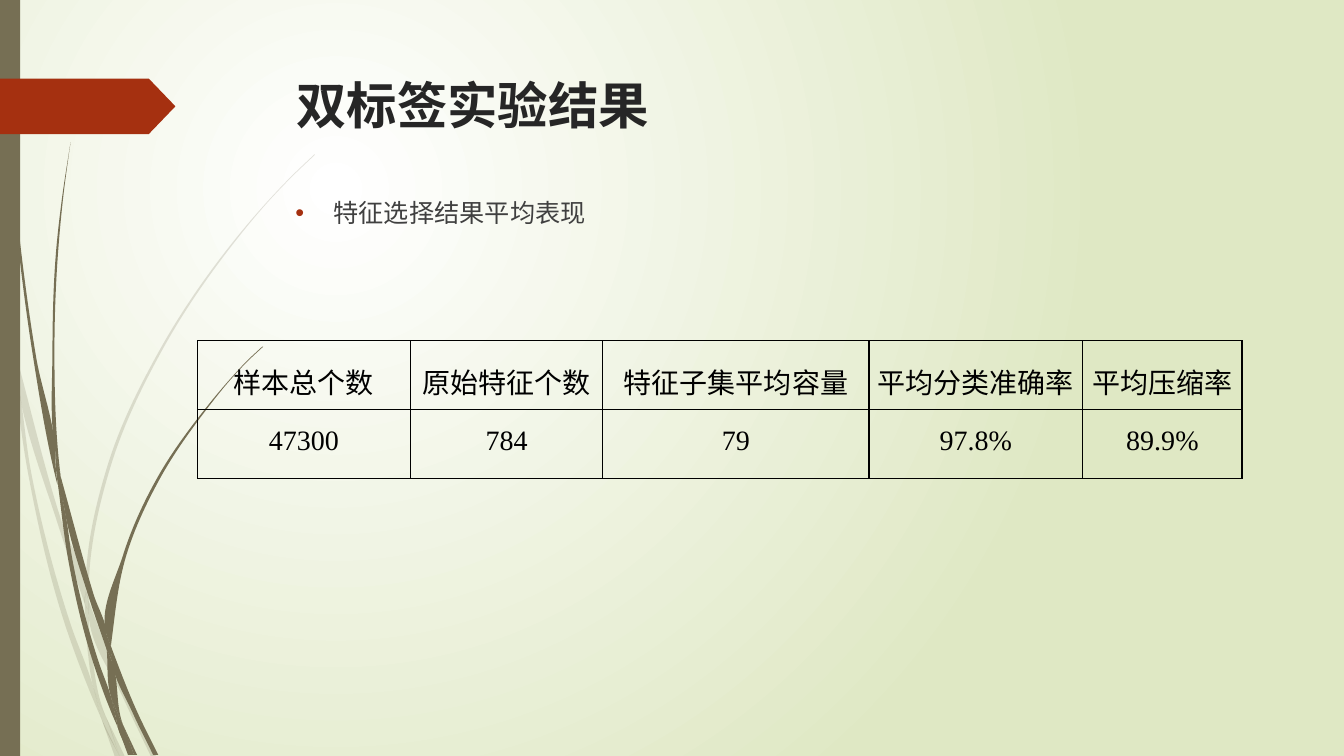
"""Build the slide of average feature selection results for two-label experiments."""
from lxml import etree
from pptx import Presentation
from pptx.dml.color import RGBColor
from pptx.enum.shapes import MSO_SHAPE
from pptx.enum.text import PP_ALIGN
from pptx.oxml.ns import qn
from pptx.util import Inches, Pt

RECTANGLE, PENTAGON = MSO_SHAPE.RECTANGLE, MSO_SHAPE.PENTAGON
CENTER = PP_ALIGN.CENTER

TITLE = "双标签实验结果"
SUBTITLE = "特征选择结果平均表现"
RESULTS = [
    ("样本总个数", "原始特征个数", "特征子集平均容量", "平均分类准确率", "平均压缩率"),
    ("47300", "784", "79", "97.8%", "89.9%"),
]
COLUMN_WIDTHS = [2.11, 1.91, 2.64, 2.12, 1.58]
TABLE_HEIGHT = 1.37
HEADING_FONT, TABLE_FONT = "Quicksand", "Times New Roman"
OLIVE, RUST = "766F54", "A53010"
BACKDROP = ["FFFFFF", "DFE8C4"]

PALE_BLADES = [
    [(0.11, 3.5), (0.09, 3.22), (0, 2.82), (0, 2.99), (0.1, 3.44)],
    [(0.58, 5.22), (0.84, 5.99), (0.85, 5.86), (0.62, 5.2), (0.14, 3.45), (0.17, 3.76)],
    [(0.92, 6.07), (0.88, 5.96), (0.88, 6.1), (1.23, 6.94), (1.5, 7.51), (1.55, 7.51),
     (1.27, 6.92)],
    [(1.19, 7.51), (1.24, 7.51), (1.05, 7.11)],
    [(0.93, 6.83), (0.7, 6.19), (0.31, 4.69), (0.17, 3.76), (0.11, 3.5), (0.28, 4.7),
     (0.65, 6.21), (0.92, 6.93), (1.01, 7.14), (0.99, 7.07)],
    [(0.84, 5.99), (0.87, 6.46), (0.93, 6.83), (0.96, 6.92), (1.05, 7.11), (1.03, 7.06),
     (0.91, 6.46), (0.88, 6.1), (0.88, 6.08)],
    [(0.88, 5.84), (1.1, 4.62), (1.6, 3.49), (2.29, 2.45), (2.68, 1.98), (2.9, 1.75),
     (3.12, 1.54), (3.12, 1.53), (2.89, 1.75), (2.68, 1.97), (2.28, 2.44), (1.58, 3.48),
     (1.07, 4.61), (0.85, 5.84), (0.85, 5.86), (0.88, 5.96)],
    [(1.01, 7.14), (1.14, 7.51), (1.19, 7.51)],
    [(0.88, 6.08), (0.88, 6.1), (0.88, 5.96), (0.85, 5.86), (0.84, 5.99)],
    [(0.96, 6.92), (0.93, 6.83), (0.99, 7.07), (1.01, 7.14), (1.19, 7.51), (1.05, 7.11)],
]
DARK_BLADES = [
    [(0.07, 1.1), (0.17, 2.33), (0.33, 3.55), (0.56, 4.77), (0.57, 4.81), (0.55, 4.57),
     (0.55, 4.53), (0.36, 3.55), (0.19, 2.32), (0.08, 1.09), (0.05, 0.48), (0.04, 0),
     (0.03, 0), (0.04, 0.48)],
    [(0.88, 5.92), (1.06, 6.45), (1.06, 6.33), (1.06, 6.31), (0.93, 5.9), (0.6, 4.72),
     (0.64, 5.05)],
    [(1.13, 6.49), (1.1, 6.41), (1.11, 6.56), (1.32, 7.08), (1.52, 7.49), (1.57, 7.49),
     (1.36, 7.06)],
    [(1.1, 6.91), (0.98, 6.57), (0.72, 5.56), (0.64, 5.05), (0.57, 4.77), (0.68, 5.57),
     (0.93, 6.59), (1.11, 7.08), (1.17, 7.22), (1.16, 7.17)],
    [(0.6, 4.72), (0.58, 4.53), (0.54, 3.49), (0.58, 2.45), (0.63, 1.93), (0.7, 1.41),
     (0.62, 1.93), (0.56, 2.45), (0.52, 3.49), (0.55, 4.49)],
    [(1.33, 7.49), (1.36, 7.49), (1.22, 7.19)],
    [(0.57, 4.77), (0.64, 5.05), (0.6, 4.72), (0.55, 4.49), (0.55, 4.53)],
    [(1.11, 6.33), (1.25, 5.52), (1.58, 4.76), (2.05, 4.06), (2.31, 3.74), (2.45, 3.59),
     (2.61, 3.44), (2.6, 3.44), (2.45, 3.58), (2.31, 3.73), (2.04, 4.05), (1.56, 4.74),
     (1.22, 5.51), (1.06, 6.31), (1.1, 6.41)],
    [(1.17, 7.22), (1.27, 7.49), (1.31, 7.49)],
    [(1.06, 6.45), (1.1, 6.91), (1.16, 7.06), (1.22, 7.19), (1.21, 7.16), (1.11, 6.56),
     (1.09, 6.51)],
    [(1.06, 6.45), (1.09, 6.51), (1.11, 6.56), (1.1, 6.41), (1.06, 6.31), (1.06, 6.33)],
    [(1.16, 7.06), (1.1, 6.91), (1.16, 7.17), (1.17, 7.22), (1.3, 7.49), (1.33, 7.49),
     (1.22, 7.19)],
]


def color(value):
    return RGBColor.from_string(value)


def add_child(parent, tag, **attributes):
    return etree.SubElement(parent, qn(tag), attributes)


def curve_closed(anchors):
    """Return cubic segments round the outline, keeping its sharp corners."""
    points = [complex(*anchor) for anchor in anchors]
    chords = [after - point for point, after in zip(points, points[1:] + points[:1])]
    arriving, leaving = [], []
    for before, after in zip(chords[-1:] + chords[:-1], chords):
        into, out = before / abs(before), after / abs(after)
        if (into.conjugate() * out).real > 0.8:
            blend = into * abs(after) + out * abs(before)
            into = out = blend / abs(blend)
        arriving.append(into)
        leaving.append(out)
    segments = []
    for i, chord in enumerate(chords):
        end = (i + 1) % len(points)
        reach = abs(chord) / 3
        segments.append((points[i] + leaving[i] * reach,
                         points[end] - arriving[end] * reach, points[end]))
    return segments


def paint(shape, fill):
    shape.shadow.inherit = False
    shape.fill.solid()
    shape.fill.fore_color.rgb = color(fill)
    shape.line.fill.background()


def add_blade(slide, anchors, opacity=100):
    outline = [(Inches(x), Inches(y)) for x, y in anchors]
    builder = slide.shapes.build_freeform(*outline[0])
    builder.add_line_segments(outline[1:] + outline[:1], close=True)
    blade = builder.convert_to_shape()
    paint(blade, OLIVE)
    lines = list(blade._element.iter(qn("a:lnTo")))
    for line, segment in zip(lines, curve_closed(outline)):
        curve = etree.Element(qn("a:cubicBezTo"))
        for point in segment:
            add_child(curve, "a:pt", x=str(round(point.real - blade.left)),
                      y=str(round(point.imag - blade.top)))
        line.getparent().replace(line, curve)
    if opacity < 100:
        fill_color = blade._element.spPr.find(qn("a:solidFill"))[0]
        add_child(fill_color, "a:alpha", val=str(opacity * 1000))


def style(paragraph, font, size, ink, bold=False):
    paragraph.font.name, paragraph.font.size, paragraph.font.bold = font, Pt(size), bold
    paragraph.font.color.rgb = color(ink)


def add_text(slide, box, text, size, ink, bold=False):
    frame = slide.shapes.add_textbox(*map(Inches, box)).text_frame
    frame.word_wrap = True
    paragraph = frame.paragraphs[0]
    paragraph.text = text
    style(paragraph, HEADING_FONT, size, ink, bold)
    return paragraph


def add_bullet(paragraph):
    paragraph.space_before = Pt(10)
    properties = paragraph._p.get_or_add_pPr()
    indent = Inches(0.38)
    properties.set("marL", str(indent))
    properties.set("indent", str(-indent))
    bullet_color = etree.Element(qn("a:buClr"))
    add_child(bullet_color, "a:srgbClr", val=RUST)
    bullet_font = etree.Element(qn("a:buFont"), typeface="Arial")
    bullet = etree.Element(qn("a:buChar"), char="•")
    spacing = properties.find(qn("a:spcBef"))
    for element in (bullet, bullet_font, bullet_color):
        spacing.addnext(element)


def add_results(slide):
    table = slide.shapes.add_table(
        len(RESULTS), len(COLUMN_WIDTHS), Inches(1.96), Inches(3.38),
        Inches(sum(COLUMN_WIDTHS)), Inches(TABLE_HEIGHT)).table
    table.first_row = table.horz_banding = False
    for column, width in zip(table.columns, COLUMN_WIDTHS):
        column.width = Inches(width)
    for row, values in zip(table.rows, RESULTS):
        row.height = Inches(TABLE_HEIGHT / len(RESULTS))
        for cell, value in zip(row.cells, values):
            cell.margin_left = cell.margin_right = Inches(0.07)
            cell.margin_top = cell.margin_bottom = 0
            paragraph = cell.text_frame.paragraphs[0]
            paragraph.text = value
            paragraph.alignment, paragraph.line_spacing = CENTER, 1.5
            style(paragraph, TABLE_FONT, 20, "000000")
            for side in ("a:lnL", "a:lnR", "a:lnT", "a:lnB"):
                border = add_child(cell._tc.get_or_add_tcPr(), side, w=str(Pt(1)))
                add_child(add_child(border, "a:solidFill"), "a:srgbClr", val="000000")
            cell.fill.background()


def set_backdrop(slide):
    fill = slide.background.fill
    fill.gradient()
    for stop, shade in zip(fill.gradient_stops, BACKDROP):
        stop.color.rgb = color(shade)
    gradient = slide.background._cSld.find(".//" + qn("a:gradFill"))
    circle = etree.Element(qn("a:path"), path="circle")
    add_child(circle, "a:fillToRect", l="50000", t="50000", r="100000", b="100000")
    gradient.replace(gradient.find(qn("a:lin")), circle)


def main():
    deck = Presentation()
    deck.slide_width, deck.slide_height = Inches(13.33), Inches(7.5)
    slide = deck.slides.add_slide(deck.slide_layouts[6])
    set_backdrop(slide)
    for blades, opacity in ((PALE_BLADES, 20), (DARK_BLADES, 100)):
        for anchors in blades:
            add_blade(slide, anchors, opacity)
    paint(slide.shapes.add_shape(RECTANGLE, 0, 0, Inches(0.2), deck.slide_height), OLIVE)
    marker = slide.shapes.add_shape(PENTAGON, 0, Inches(0.78), Inches(1.74), Inches(0.55))
    marker.adjustments[0] = 0.48
    paint(marker, RUST)
    add_text(slide, (2.84, 0.69, 9.75, 1.4), TITLE, 36, "262626", bold=True)
    add_results(slide)
    add_bullet(add_text(slide, (2.83, 1.91, 9.75, 4.13), SUBTITLE, 18, "404040"))
    deck.save("out.pptx")


if __name__ == "__main__":
    main()
